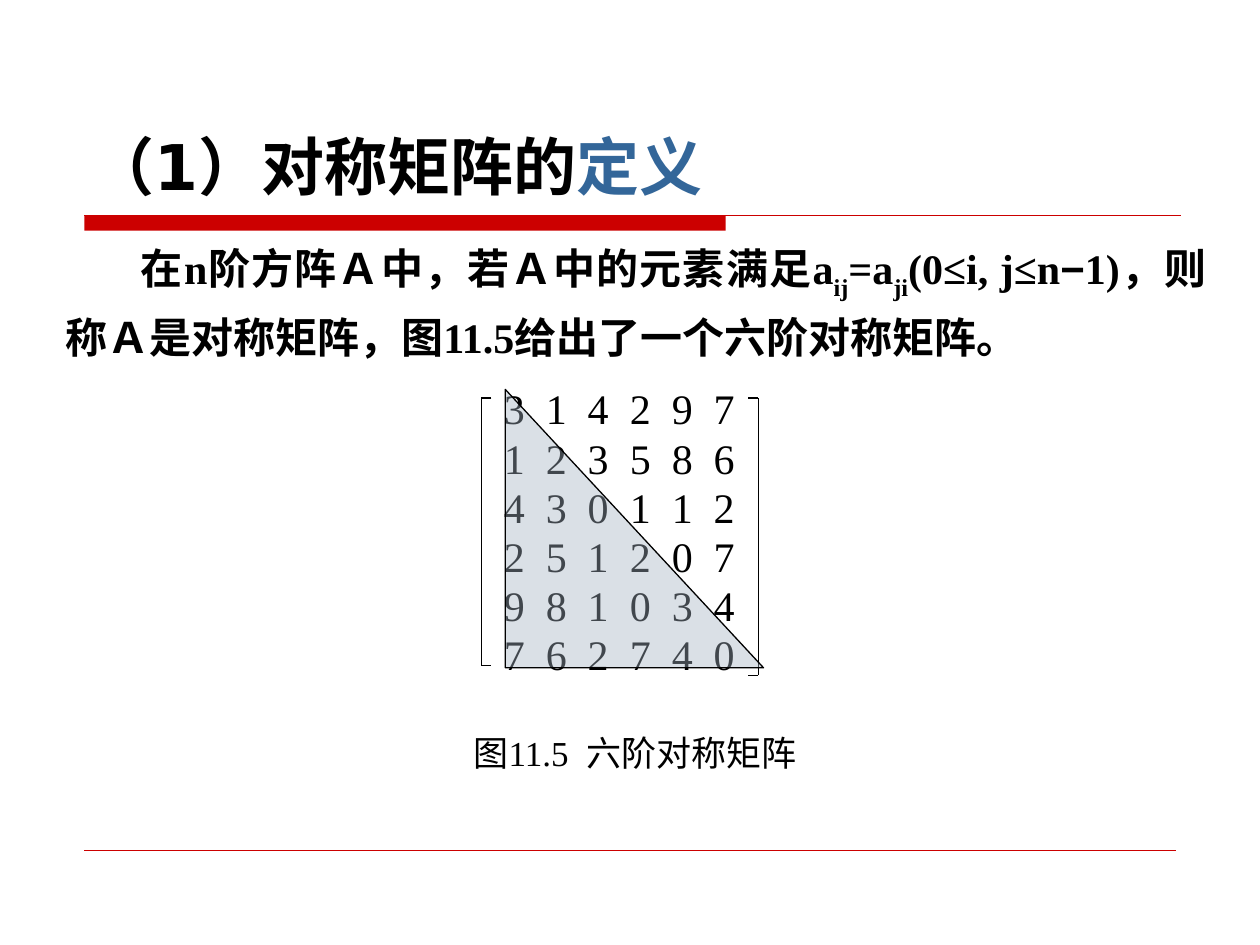
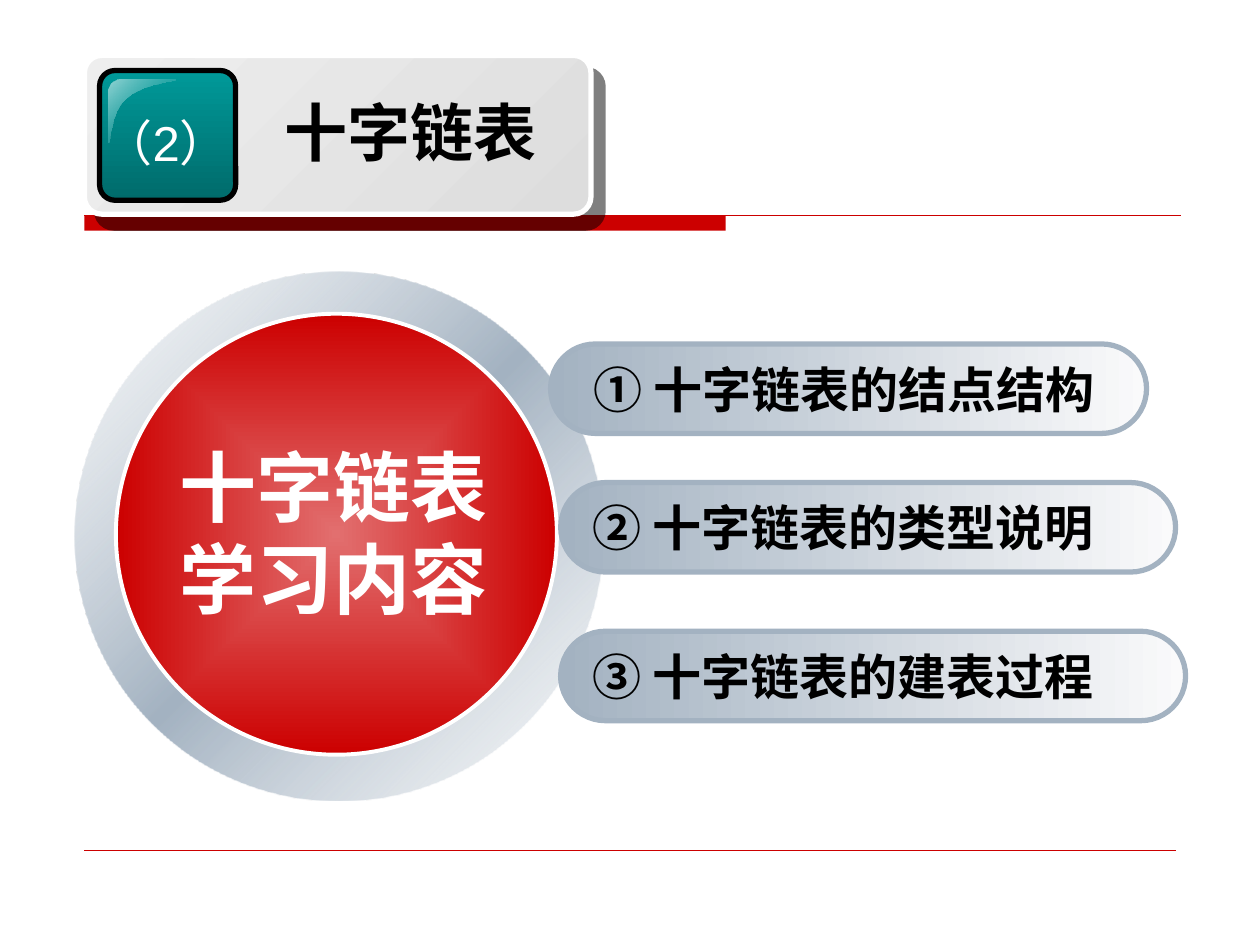
from dataclasses import dataclass
from typing import Optional

from lxml import etree
from pptx import Presentation
from pptx.dml.color import RGBColor
from pptx.enum import shapes, text
from pptx.oxml import parse_xml
from pptx.oxml.ns import qn
from pptx.util import Inches, Pt

BLACK, WHITE = "000000", "FFFFFF"
RED, BLUE, STEEL, TEAL = "CC0000", "336699", "A3B2C1", "009999"
SERIF, SANS, TITLE_FONT, CJK = "Times New Roman", "Arial", "DejaVu Sans", "Noto Sans CJK SC"
DRAWING_NS = 'xmlns:a="http://schemas.openxmlformats.org/drawingml/2006/main"'
LEFT, CENTER, JUSTIFY = text.PP_ALIGN.LEFT, text.PP_ALIGN.CENTER, text.PP_ALIGN.JUSTIFY
TOP, MIDDLE, BOTTOM = text.MSO_ANCHOR.TOP, text.MSO_ANCHOR.MIDDLE, text.MSO_ANCHOR.BOTTOM
PRESET = shapes.MSO_SHAPE


@dataclass(frozen=True)
class Box:
    left: float
    top: float
    width: float
    height: float

    def lengths(self):
        return [Inches(v) for v in (self.left, self.top, self.width, self.height)]


@dataclass(frozen=True)
class Run:
    """Words with the format in which they differ from their paragraph."""
    words: str
    color: Optional[str] = None
    font: Optional[str] = None
    baseline: int = 0
    spacing: float = 0


@dataclass(frozen=True)
class Stop:
    position: int
    color: str
    alpha: int = 100


@dataclass(frozen=True)
class Bracket:
    spine: float
    tip: float
    top: float
    bottom: float


@dataclass(frozen=True)
class Topic:
    box: Box
    indent: float
    runs: tuple


def rgb(color: str) -> RGBColor:
    return RGBColor.from_string(color)


def color_xml(color: str, alpha: int = 100) -> str:
    return f'<a:srgbClr val="{color}"><a:alpha val="{alpha * 1000}"/></a:srgbClr>'


def shadow_xml(distance: float, angle: int, alpha: int) -> str:
    return (f'<a:effectLst {DRAWING_NS}><a:outerShdw dist="{Pt(distance)}" '
            f'dir="{angle * 60000}" algn="ctr" rotWithShape="0">'
            f'{color_xml(BLACK, alpha)}</a:outerShdw></a:effectLst>')


def fill_gradient(shape, stops, angle: Optional[int] = None) -> None:
    """Linear at the given angle; without one, spreading from the centre."""
    shape.fill.gradient()
    gradient = shape._element.spPr.find(qn("a:gradFill"))
    stop_xml = "".join(f'<a:gs pos="{s.position * 1000}">{color_xml(s.color, s.alpha)}</a:gs>'
                       for s in stops)
    if angle is None:
        way = '<a:path path="rect"><a:fillToRect l="50000" t="50000" r="50000" b="50000"/></a:path>'
    else:
        way = f'<a:lin ang="{angle * 60000}" scaled="0"/>'
    gradient.getparent().replace(gradient, parse_xml(
        f'<a:gradFill {DRAWING_NS} rotWithShape="1"><a:gsLst>{stop_xml}</a:gsLst>{way}</a:gradFill>'))


def set_line(shape, color: Optional[str], width: float) -> None:
    if color is None:
        shape.line.fill.background()
    else:
        shape.line.color.rgb = rgb(color)
        shape.line.width = Pt(width)


def add_shape(slide, preset, box: Box, *, fill: Optional[str] = None, alpha: int = 100,
              stops=(), angle: Optional[int] = None, line: Optional[str] = None,
              width: float = 0.75, adjust: Optional[float] = None):
    shape = slide.shapes.add_shape(preset, *box.lengths())
    shape.shadow.inherit = False
    if adjust is not None:
        shape.adjustments[0] = adjust
    if stops:
        fill_gradient(shape, stops, angle)
    else:
        shape.fill.solid()
        shape.fill.fore_color.rgb = rgb(fill)
        color = shape._element.spPr.find(qn("a:solidFill"))[0]
        etree.SubElement(color, qn("a:alpha"), val=str(alpha * 1000))
    set_line(shape, line, width)
    return shape


def add_line(slide, start, end, color: str, width: float) -> None:
    connector = slide.shapes.add_connector(
        shapes.MSO_CONNECTOR.STRAIGHT, *(Inches(v) for v in (*start, *end)))
    set_line(connector, color, width)
    etree.SubElement(connector._element.spPr, qn("a:effectLst"))


def write_text(shape, runs, *, size: float, font: str, color: str = BLACK, bold: bool = False,
               align=LEFT, anchor=TOP, wrap: bool = True, inset: float = 0.1,
               spacing: float = 1.0, indent: float = 0, tabs=(), shadow: bool = False) -> None:
    """Fill a shape with one paragraph, given as a string or as Runs."""
    frame = shape.text_frame
    frame.word_wrap, frame.vertical_anchor = wrap, anchor
    frame.margin_left, frame.margin_right = Inches(inset), Inches(0.1)
    frame.margin_top = frame.margin_bottom = Inches(0.05)
    paragraph = frame.paragraphs[0]
    paragraph.alignment, paragraph.line_spacing = align, spacing
    properties = paragraph._p.get_or_add_pPr()
    if indent:
        properties.set("indent", str(Inches(indent)))
    if tabs:
        tab_list = etree.SubElement(properties, qn("a:tabLst"))
        for tab in tabs:
            etree.SubElement(tab_list, qn("a:tab"), pos=str(Inches(tab)), algn="l")
    for part in [Run(runs)] if isinstance(runs, str) else runs:
        run = paragraph.add_run()
        run.text = part.words
        run.font.size, run.font.bold = Pt(size), bold
        run.font.color.rgb = rgb(part.color or color)
        run.font.name = part.font or font
        latin = run._r.rPr.find(qn("a:latin"))
        latin.addnext(etree.Element(qn("a:ea"), typeface=CJK))
        if shadow:
            latin.addprevious(parse_xml(shadow_xml(2.5, 45, 100)))
        if part.baseline:
            run._r.rPr.set("baseline", str(part.baseline * 1000))
        if part.spacing:
            run._r.rPr.set("spc", str(int(part.spacing * 100)))


def add_text(slide, box: Box, runs, **text_format) -> None:
    write_text(slide.shapes.add_textbox(*box.lengths()), runs, **text_format)


def add_base_slide(presentation):
    """Blank slide with the red title bar and the footer rule."""
    slide = presentation.slides.add_slide(presentation.slide_layouts[6])
    add_shape(slide, PRESET.RECTANGLE, Box(0.67, 1.71, 5.09, 0.12), fill=RED)
    add_line(slide, (0.67, 1.71), (9.37, 1.71), RED, 0.75)
    add_line(slide, (0.67, 6.75), (9.33, 6.75), RED, 0.25)
    return slide


def add_bracket(slide, bracket: Bracket) -> None:
    corners = [(bracket.tip, bracket.top), (bracket.spine, bracket.top),
               (bracket.spine, bracket.bottom), (bracket.tip, bracket.bottom)]
    for start, end in zip(corners, corners[1:]):
        add_line(slide, start, end, BLACK, 0.75)


MATRIX = ("314297", "123586", "430112", "251207", "981034", "762740")
ROW_PITCH, COLUMN_PITCH = 0.39, 1 / 3
BRACKETS = (Bracket(3.82, 3.9, 3.16, 5.28), Bracket(6.02, 5.94, 3.16, 5.36))
DEFINITION = (
    Run("在n阶方阵Ａ中，若Ａ中的元素满足a"), Run("ij", baseline=-30),
    Run("=a"), Run("ji", baseline=-30), Run("(0≤i, j≤n"), Run("−", font=SANS),
    Run("1)，则称Ａ是对称矩阵，图11.5给出了一个六阶对称矩阵。"))


def build_definition_slide(presentation) -> None:
    slide = add_base_slide(presentation)
    add_text(slide, Box(0.42, 1.78, 9.25, 1.1), DEFINITION, size=24, font=SERIF, bold=True,
             align=JUSTIFY, spacing=1.2, indent=0.6)
    add_text(slide, Box(1.54, 5.76, 7, 0.44),
             (Run("图11.5"), Run(" ", spacing=5), Run("六阶对称矩阵")),
             size=20, font=SERIF, align=CENTER)
    for bracket in BRACKETS:
        add_bracket(slide, bracket)
    tabs = [COLUMN_PITCH * column for column in range(1, len(MATRIX))]
    for index, row in enumerate(MATRIX):
        add_text(slide, Box(3.9, 2.99 + ROW_PITCH * index, 2.13, 0.5), "\t".join(row),
                 size=24, font=SERIF, tabs=tabs)
    add_shape(slide, PRESET.RIGHT_TRIANGLE, Box(4.01, 3.09, 2.05, 2.21),
              fill=STEEL, alpha=40, line=BLACK)
    add_text(slide, Box(0.63, 0.33, 8.75, 1.33),
             (Run("（1）对称矩阵的"), Run("定义", color=BLUE)),
             size=36, font=TITLE_FONT, bold=True, anchor=BOTTOM)


TOPICS = (
    Topic(Box(4.37, 2.73, 4.73, 0.71), 0.24,
          (Run("① 十字链表"), Run("的结点结构", font=CJK))),
    Topic(Box(4.45, 3.83, 4.88, 0.71), 0.15,
          (Run("② "), Run("十字链表的", font=CJK), Run("类型说明"))),
    Topic(Box(4.45, 5.01, 4.96, 0.71), 0.15,
          (Run("③ "), Run("十字链表的建表过程", font=CJK))),
)
GLOSS_START = (0.86, 1.13)
GLOSS_CURVES = (
    ((0.86, 1.13), (0.88, 1.14), (0.87, 0.89), (1, 0.78)),
    ((1, 0.78), (1.14, 0.66), (1.4, 0.65), (1.39, 0.63)),
    ((0.96, 0.63), (0.91, 0.63), (0.86, 0.67), (0.86, 0.73)),
)


def curve_points(curve, steps: int = 10):
    """Points along a cubic Bezier curve."""
    for step in range(steps + 1):
        t = step / steps
        weights = ((1 - t) ** 3, 3 * t * (1 - t) ** 2, 3 * t * t * (1 - t), t ** 3)
        yield tuple(Inches(sum(w * point[axis] for w, point in zip(weights, curve)))
                    for axis in (0, 1))


def add_gloss(slide) -> None:
    builder = slide.shapes.build_freeform(*(Inches(v) for v in GLOSS_START))
    builder.add_line_segments([p for curve in GLOSS_CURVES for p in curve_points(curve)])
    gloss = builder.convert_to_shape()
    gloss.shadow.inherit = False
    fill_gradient(gloss, (Stop(0, "93D4D4"), Stop(100, TEAL, 0)), 45)
    set_line(gloss, None, 0)


def add_heading(slide) -> None:
    plate = add_shape(slide, PRESET.ROUNDED_RECTANGLE, Box(0.67, 0.44, 4.02, 1.26),
                      stops=(Stop(0, "EEEEEE"), Stop(100, "DDDDDD")), angle=45,
                      line=WHITE, width=3, adjust=0.109)
    properties = plate._element.spPr
    properties.replace(properties.find(qn("a:effectLst")), parse_xml(shadow_xml(10.6, 49, 50)))
    add_shape(slide, PRESET.ROUNDED_RECTANGLE, Box(0.79, 0.56, 1.08, 1.03),
              stops=(Stop(0, TEAL), Stop(100, "006B6B")), angle=90,
              line=BLACK, width=3, adjust=0.119)
    add_gloss(slide)
    add_text(slide, Box(0.63, 0.84, 1.38, 0.57), "（2）", size=28, font=SANS, color=WHITE,
             align=CENTER, wrap=False)
    add_text(slide, Box(2.16, 0.69, 2.59, 0.7), "十字链表", size=36, font=SANS, bold=True)


def build_contents_slide(presentation) -> None:
    slide = add_base_slide(presentation)
    add_heading(slide)
    add_shape(slide, PRESET.DONUT, Box(0.59, 2.16, 4.19, 4.19), adjust=0.088, angle=45,
              stops=(Stop(0, "C7D0D9", 12), Stop(50, STEEL), Stop(100, "C7D0D9", 12)))
    add_shape(slide, PRESET.OVAL, Box(0.92, 2.49, 3.5, 3.5), line=WHITE, width=2.25,
              stops=(Stop(0, "E26F6F"), Stop(100, RED)))
    add_text(slide, Box(1.14, 3.44, 3.01, 1.57), "十字链表学习内容", size=44, font=SANS,
             color=WHITE, bold=True, align=CENTER, shadow=True)
    for topic in TOPICS:
        pill = add_shape(slide, PRESET.ROUNDED_RECTANGLE, topic.box, adjust=0.5, angle=0,
                         stops=(Stop(0, STEEL), Stop(100, "FAFAFB")), line=STEEL, width=3)
        write_text(pill, topic.runs, size=28, font=TITLE_FONT, bold=True, anchor=MIDDLE,
                   inset=topic.indent)


def main() -> None:
    presentation = Presentation()
    presentation.slide_width, presentation.slide_height = Inches(10), Inches(7.5)
    build_definition_slide(presentation)
    build_contents_slide(presentation)
    presentation.save("out.pptx")


if __name__ == "__main__":
    main()
